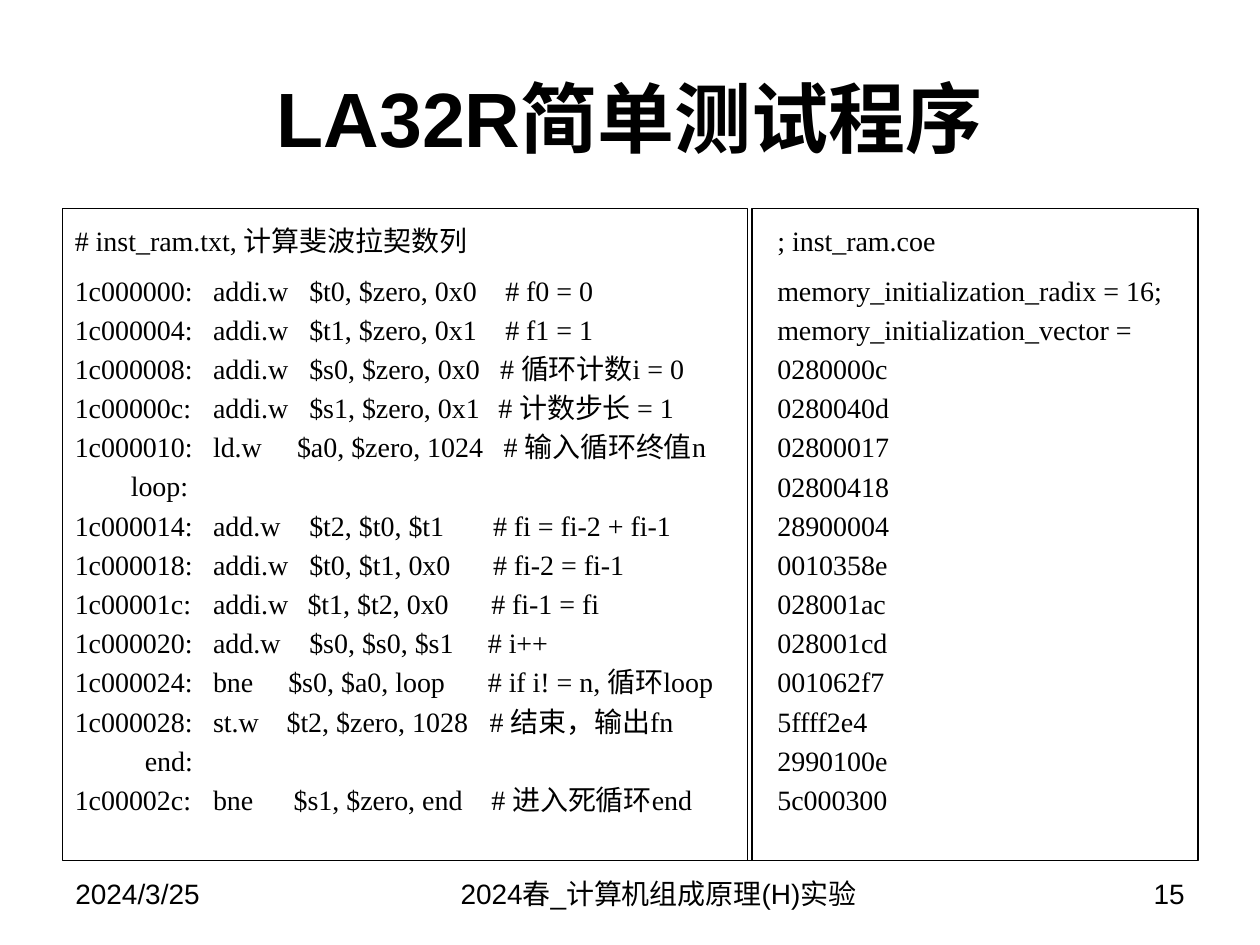
from lxml import etree
from pptx import Presentation
from pptx import util as u
from pptx.dml.color import RGBColor
from pptx.enum import shapes, text
from pptx.oxml import ns

THEME = {
    "ink": RGBColor(0, 0, 0),
    "heading": "Arial", "code": "Times New Roman",
    "title_size": u.Pt(44), "text_size": u.Pt(16),
    "border": u.Pt(0.75),
}
LEFT, RIGHT, TOP, BOTTOM = 36, 684, 119, 491.8
OPCODE_TAB = 79

# Each line: text, left indent, tab stops of operands and comment
PROGRAM = [
    ("# inst_ram.txt, 计算斐波拉契数列", 0, ()),
    ("1c000000:\taddi.w\t$t0, $zero, 0x0\t# f0 = 0", 0, (134, 246)),
    ("1c000004:\taddi.w\t$t1, $zero, 0x1\t# f1 = 1", 0, (134, 246)),
    ("1c000008:\taddi.w\t$s0, $zero, 0x0\t# 循环计数i = 0", 0, (134, 243)),
    ("1c00000c:\taddi.w\t$s1, $zero, 0x1\t# 计数步长 = 1", 0, (134, 242)),
    ("1c000010:\tld.w\t$a0, $zero, 1024\t# 输入循环终值n", 0, (127, 245)),
    ("loop:", 32, ()),
    ("1c000014:\tadd.w\t$t2, $t0, $t1\t# fi = fi-2 + fi-1", 0, (134, 239)),
    ("1c000018:\taddi.w\t$t0, $t1, 0x0\t# fi-2 = fi-1", 0, (134, 239)),
    ("1c00001c:\taddi.w\t$t1, $t2, 0x0\t# fi-1 = fi", 0, (133, 238)),
    ("1c000020:\tadd.w\t$s0, $s0, $s1\t# i++", 0, (134, 236)),
    ("1c000024:\tbne\t$s0, $a0, loop\t# if i! = n, 循环loop", 0, (122, 236)),
    ("1c000028:\tst.w\t$t2, $zero, 1028\t# 结束，输出fn", 0, (121, 237)),
    ("end:", 40, ()),
    ("1c00002c:\tbne\t$s1, $zero, end\t# 进入死循环end", 0, (125, 238)),
]
MEMORY = [(line, 7.2, ()) for line in (
    "; inst_ram.coe",
    "memory_initialization_radix = 16;",
    "memory_initialization_vector =",
    "0280000c", "0280040d", "02800017", "02800418", "28900004", "0010358e",
    "028001ac", "028001cd", "001062f7", "5ffff2e4", "2990100e", "5c000300",
)]


def style(para, face, size, align):
    para.alignment = align
    para.font.name = face
    para.font.size = size
    para.font.color.rgb = THEME["ink"]


def fill_listing(box, lines):
    """Outline a box and set its code lines."""
    box.line.color.rgb = THEME["ink"]
    box.line.width = THEME["border"]
    frame = box.text_frame
    frame.word_wrap = True
    frame.auto_size = text.MSO_AUTO_SIZE.NONE
    frame.vertical_anchor = text.MSO_ANCHOR.TOP
    frame.margin_left = frame.margin_right = u.Pt(7.2)
    frame.margin_top, frame.margin_bottom = u.Pt(8.64), u.Pt(3.6)
    for number, (line, indent, tabs) in enumerate(lines):
        para = frame.add_paragraph() if number else frame.paragraphs[0]
        para.text = line
        para.space_before = u.Pt(3.2 if number else 0)
        para.space_after = u.Pt(0 if number else 6)
        # Indents, bullets and tab stops
        props = para._p.get_or_add_pPr()
        props.set("marL", str(u.Pt(indent)))
        if box.is_placeholder:
            props.set("indent", "0")
        etree.SubElement(props, ns.qn("a:buNone"))
        if tabs:
            stops = etree.SubElement(props, ns.qn("a:tabLst"))
            for stop in (OPCODE_TAB, *tabs):
                etree.SubElement(stops, ns.qn("a:tab"), pos=str(u.Pt(stop)), algn="l")
        style(para, THEME["code"], THEME["text_size"], text.PP_ALIGN.LEFT)


deck = Presentation()
deck.slide_width, deck.slide_height = u.Pt(720), u.Pt(540)
page = deck.slides.add_slide(deck.slide_layouts[1])

# Rule above the footer
rule = page.shapes.add_connector(
    shapes.MSO_CONNECTOR.STRAIGHT, u.Pt(LEFT), u.Pt(BOTTOM), u.Pt(RIGHT), u.Pt(BOTTOM))
rule.line.color.rgb = THEME["ink"]
rule.line.width = THEME["border"]
etree.SubElement(rule._element.spPr, ns.qn("a:effectLst"))

# Title
title = page.shapes.title
title.left, title.top, title.width, title.height = map(u.Pt, (LEFT, 21.6, 648, 90))
title.text_frame.text = "LA32R简单测试程序"
title.text_frame.vertical_anchor = text.MSO_ANCHOR.MIDDLE
heading = title.text_frame.paragraphs[0]
style(heading, THEME["heading"], THEME["title_size"], text.PP_ALIGN.CENTER)
heading.font.bold = True

# Assembly listing
program = page.shapes.add_shape(
    shapes.MSO_SHAPE.RECTANGLE, u.Pt(35.7), u.Pt(TOP), u.Pt(391.7), u.Pt(BOTTOM - TOP))
program.shadow.inherit = False
program.fill.background()
fill_listing(program, PROGRAM)

# Memory image listing
memory = page.placeholders[1]
memory.left, memory.top, memory.width, memory.height = map(
    u.Pt, (429.8, TOP, 254.9, BOTTOM - TOP))
fill_listing(memory, MEMORY)

# Footer: date, course, page number
for words, left, width, align in (
    ("2024/3/25", LEFT, 168, text.PP_ALIGN.LEFT),
    ("2024春_计算机组成原理(H)实验 ", 204, 348, text.PP_ALIGN.CENTER),
    ("15", 552, 132, text.PP_ALIGN.RIGHT),
):
    footer = page.shapes.add_textbox(u.Pt(left), u.Pt(BOTTOM), u.Pt(width), u.Pt(37.4))
    footer.text_frame.word_wrap = True
    footer.text_frame.vertical_anchor = text.MSO_ANCHOR.MIDDLE
    footer.text_frame.text = words
    style(footer.text_frame.paragraphs[0], THEME["heading"], THEME["text_size"], align)

deck.save("out.pptx")
